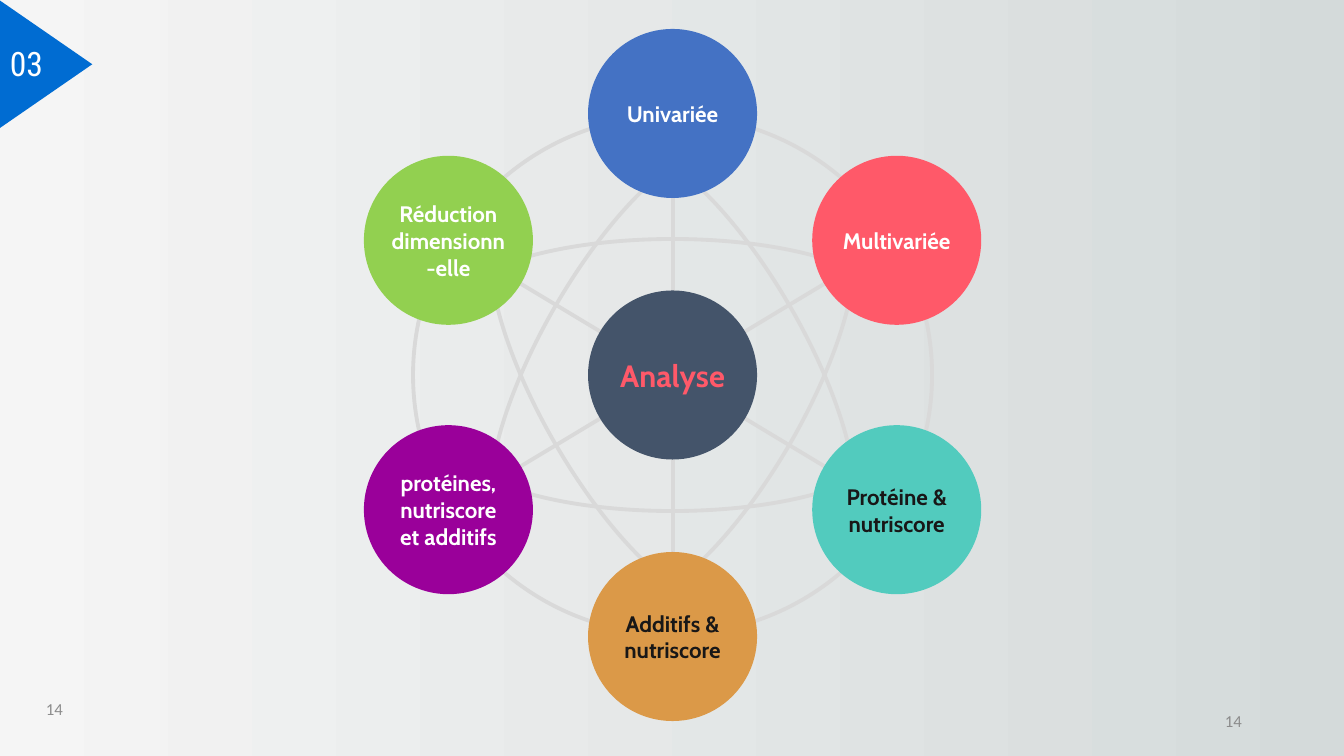
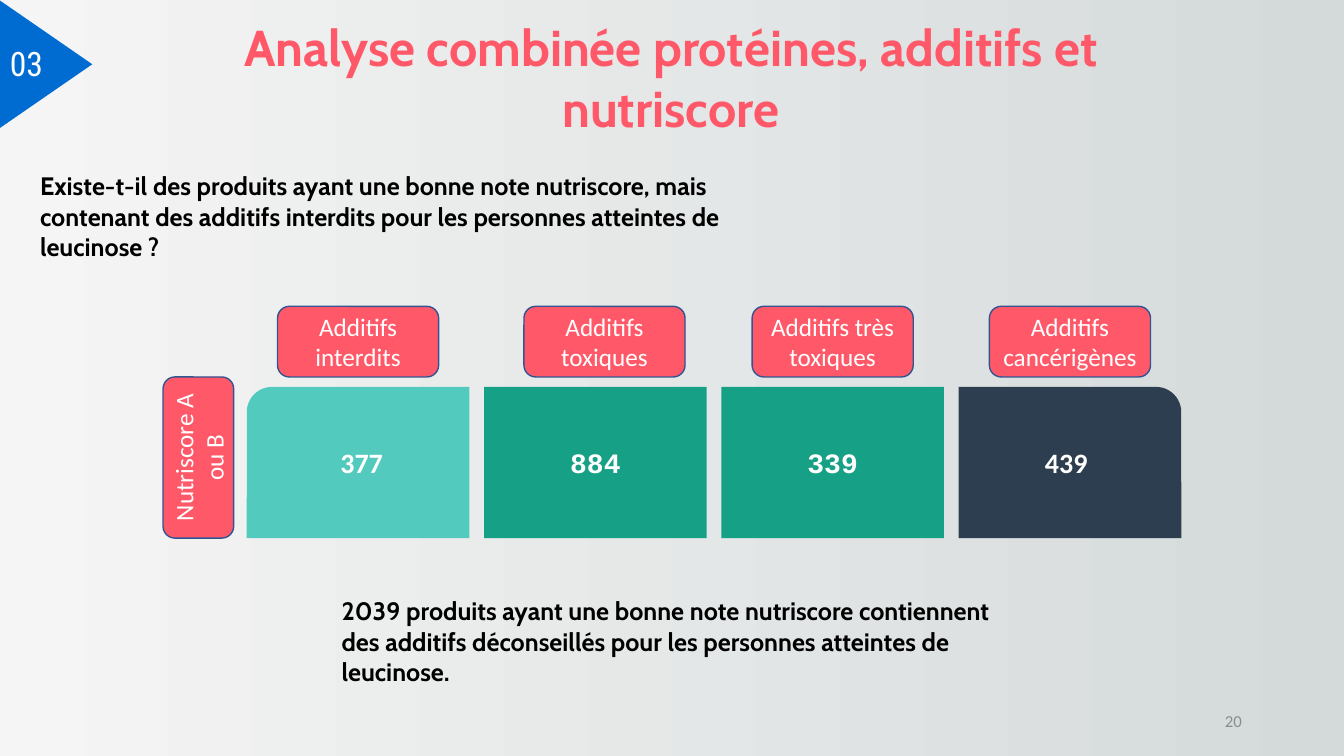
import math
from dataclasses import dataclass

from lxml import etree
from pptx import Presentation
from pptx import util as u
from pptx.dml import color
from pptx.enum import shapes, text
from pptx.oxml import ns

Cm, Pt = u.Cm, u.Pt
MSO, PP, ANCHOR = shapes.MSO_SHAPE, text.PP_ALIGN, text.MSO_ANCHOR


@dataclass(frozen=True)
class Theme:
    """Colours, fonts and type sizes used by every slide."""
    grey_light: str = "F5F5F5"
    grey_dark: str = "D4DADA"
    web: str = "D9D9D9"
    coral: str = "FF5969"
    coral_edge: str = "325491"
    badge: str = "006CD2"
    slate: str = "44546A"
    blue: str = "4472C4"
    turquoise: str = "52CBBE"
    orange: str = "DB9948"
    purple: str = "9A009A"
    lime: str = "92D050"
    green: str = "16A085"
    navy: str = "2C3E50"
    white: str = "FFFFFF"
    ink: str = "181717"
    black: str = "000000"
    muted: str = "8C8C8C"
    display: str = "Cabin"
    plain: str = "Calibri"
    digits: str = "Courier New"
    narrow: str = "Roboto Condensed"
    title: int = 36
    badge_text: int = 24
    hub: int = 22
    value: int = 20
    body: int = 18
    node: int = 16
    number: int = 12


T = Theme()


def rgb(value):
    """Return a colour from its hex digits."""
    return color.RGBColor.from_string(value)


def style(sp, words, size, name, ink, bold=False, align=PP.LEFT,
          anchor=ANCHOR.TOP, inset=(0.25, 0.13)):
    """Fill a shape's text frame with one formatted paragraph."""
    tf = sp.text_frame
    side, edge = map(Cm, inset)
    frame = {"word_wrap": True, "auto_size": text.MSO_AUTO_SIZE.NONE,
             "vertical_anchor": anchor, "margin_left": side,
             "margin_right": side, "margin_top": edge, "margin_bottom": edge}
    for key, value in frame.items():
        setattr(tf, key, value)
    p = tf.paragraphs[0]
    p.alignment = align
    r = p.add_run()
    r.text = words
    for key, value in {"size": Pt(size), "name": name, "bold": bold}.items():
        setattr(r.font, key, value)
    r.font.color.rgb = rgb(ink)


def add_text(s, box, words, size, name, ink, **options):
    """Add a text box."""
    style(s.shapes.add_textbox(*map(Cm, box)), words, size, name, ink, **options)


def add_shape(s, kind, box, fill=None, line=None, width=1):
    """Add a flat preset shape."""
    sp = s.shapes.add_shape(kind, *map(Cm, box))
    sp.shadow.inherit = False
    if fill:
        sp.fill.solid()
        sp.fill.fore_color.rgb = rgb(fill)
    else:
        sp.fill.background()
    if line:
        sp.line.color.rgb = rgb(line)
        sp.line.width = Pt(width)
    else:
        sp.line.fill.background()
    return sp


def add_line(s, start, end, ink, width):
    """Add a straight connector without shadow."""
    c = s.shapes.add_connector(shapes.MSO_CONNECTOR.STRAIGHT,
                               *map(Cm, (*start, *end)))
    c.line.color.rgb = rgb(ink)
    c.line.width = Pt(width)
    etree.SubElement(c.element.spPr, ns.qn("a:effectLst"))


def around(center, width, height):
    """Return the box of the given size around a centre."""
    return center[0] - width / 2, center[1] - height / 2, width, height


def set_background(prs):
    """Give the slide master its horizontal grey gradient."""
    fill = prs.slide_master.background.fill
    fill.gradient()
    fill.gradient_angle = 0
    for stop, ink in zip(fill.gradient_stops, (T.grey_light, T.grey_dark)):
        stop.color.rgb = rgb(ink)


def add_furniture(s, number):
    """Place the section badge and the page number."""
    add_shape(s, MSO.ISOSCELES_TRIANGLE, (-0.46, 0.45, 3.23, 2.34),
              T.badge).rotation = 90
    add_text(s, (0, 0.94, 1.55, 1.27), "03", T.badge_text, T.narrow, T.white)
    add_number(s, (23.93, 17.65, 7.62, 1.02), number, PP.RIGHT)


def add_number(s, box, number, align=PP.LEFT):
    """Place one page number."""
    add_text(s, box, number, T.number, T.plain, T.muted, align=align,
             anchor=ANCHOR.MIDDLE)


def add_web(s, box, hub, nodes):
    """Draw a hub and its nodes over a web of spokes and arcs."""
    x, y, w, h = box
    radius, center = w / 2, (x + w / 2, y + h / 2)
    stroke, disc = 2.75, 4.26

    def polar(degrees, distance=radius):
        """Return the point at an angle and distance from the centre."""
        a = math.radians(degrees)
        return (center[0] + distance * math.cos(a),
                center[1] + distance * math.sin(a))

    spots = [polar(degrees) for degrees in (-90, -31, 31, 90, 149, 211)]
    add_shape(s, MSO.OVAL, around(center, w - 0.1, h - 0.1),
              line=T.web, width=stroke)
    for start, end in zip(spots[:3], spots[3:]):
        add_line(s, start, end, T.web, stroke)
    for turn in range(0, 360, 60):
        middle = polar(turn - 90, 0.24 * radius)
        arc = add_shape(s, MSO.ARC,
                        around(middle, 1.7 * radius, 0.56 * radius),
                        line=T.web, width=stroke)
        arc.adjustments[0], arc.adjustments[1] = 108, 0
        arc.rotation = turn
    discs = [(center, *hub, T.hub)]
    discs += [(spot, *node, T.node) for spot, node in zip(spots, nodes)]
    for spot, words, fill, ink, size in discs:
        style(add_shape(s, MSO.OVAL, around(spot, disc, disc), fill),
              words, size, T.display, ink, bold=True, align=PP.CENTER,
              anchor=ANCHOR.MIDDLE, inset=(0, 0.1))


def add_label(s, box, words):
    """Add a rounded coral label."""
    sp = add_shape(s, MSO.ROUNDED_RECTANGLE, box, T.coral, T.coral_edge)
    style(sp, words, T.body, T.plain, T.white, align=PP.CENTER,
          anchor=ANCHOR.MIDDLE)
    return sp


def add_cards(s, box, row, cards):
    """Lay out a labelled row of value cards with rounded outer corners."""
    x, y, w, h = box
    card_w, label_w, label_h = 5.61, 4.06, 1.78
    step = (w - card_w) / (len(cards) - 1)
    side = add_label(s, (x - 2.11, y + h - label_w, label_h, label_w), row)
    side.element.txBody.bodyPr.set("vert", "vert270")
    for i, (words, value, fill, name, kind, nudge) in enumerate(cards):
        left = x + i * step
        sp = add_shape(s, kind, (left, y, card_w, h), fill)
        if i == 0:
            sp.element.spPr.xfrm.set("flipH", "1")
        style(sp, value, T.value, name, T.white, bold=True, align=PP.CENTER,
              anchor=ANCHOR.MIDDLE, inset=(0.1, 0.1))
        add_label(s, (left + (card_w - label_w) / 2 + nudge, y - 2.03,
                      label_w, label_h), words)


def overview_slide(prs):
    """Build the map of analyses."""
    s = prs.slides.add_slide(prs.slide_layouts[6])
    add_furniture(s, "14")
    add_number(s, (0.91, 17.32, 1.22, 1.09), "14")
    add_web(s, (10.36, 2.86, 13.18, 13.18), ("Analyse", T.slate, T.coral), [
        ("Univariée", T.blue, T.white),
        ("Multivariée", T.coral, T.white),
        ("Protéine & nutriscore", T.turquoise, T.ink),
        ("Additifs & nutriscore", T.orange, T.ink),
        ("protéines, nutriscore et additifs", T.purple, T.white),
        ("Réduction dimensionn-elle", T.lime, T.white),
    ])


def combined_slide(prs):
    """Build the combined analysis with its four counts."""
    s = prs.slides.add_slide(prs.slide_layouts[5])
    add_furniture(s, "20")
    title = s.shapes.title
    place = zip(("left", "top", "width", "height"), (5.66, 0.28, 22.5, 3.33))
    for key, value in place:
        setattr(title, key, Cm(value))
    style(title, "Analyse combinée protéines, additifs et nutriscore",
          T.title, T.display, T.coral, bold=True, align=PP.CENTER)
    add_text(s, (0.76, 4.17, 19.81, 2.6),
             "Existe-t-il des produits ayant une bonne note nutriscore, mais "
             "contenant des additifs interdits pour les personnes atteintes "
             "de leucinose ?", T.body, T.display, T.black, bold=True)
    corner, flat = MSO.ROUND_1_RECTANGLE, MSO.RECTANGLE
    add_cards(s, (6.22, 9.75, 23.55, 3.81), "Nutriscore A ou B", [
        ("Additifs interdits", "377", T.turquoise, T.plain, corner, 0),
        ("Additifs toxiques", "884", T.green, T.digits, flat, 0.23),
        ("Additifs très toxiques", "339", T.green, T.digits, flat, 0),
        ("Additifs cancérigènes", "439", T.navy, T.plain, corner, 0),
    ])
    add_text(s, (8.36, 14.88, 17.15, 2.6),
             "2039 produits ayant une bonne note nutriscore contiennent des "
             "additifs déconseillés pour les personnes atteintes de "
             "leucinose.", T.body, T.display, T.black, bold=True)


def main():
    """Build and save the presentation."""
    prs = Presentation()
    prs.slide_width, prs.slide_height = Cm(33.87), Cm(19.05)
    set_background(prs)
    overview_slide(prs)
    combined_slide(prs)
    prs.save("out.pptx")


if __name__ == "__main__":
    main()
